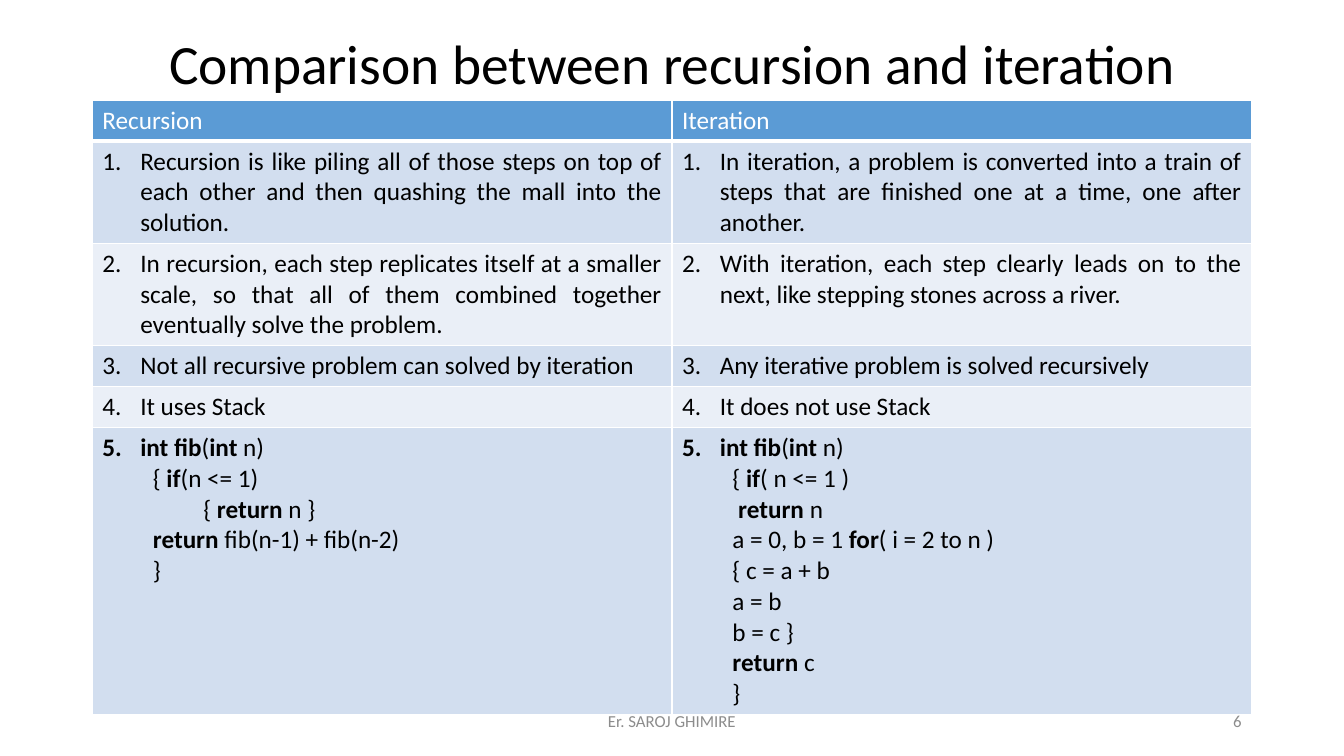
from dataclasses import dataclass
from typing import Any

from lxml.etree import SubElement
from pptx import Presentation
from pptx.dml.color import RGBColor
from pptx.enum.text import MSO_ANCHOR as Anchor, MSO_AUTO_SIZE as AutoSize, PP_ALIGN as Align
from pptx.oxml import parse_xml
from pptx.oxml.ns import nsdecls, qn
from pptx.util import Pt

COLORS = {"ink": "000000", "white": "FFFFFF", "header": "5B9BD5",
          "odd": "D2DEEF", "even": "EAEFF7", "footer": "8C8C8C"}
FRAME = {"word_wrap": True, "auto_size": AutoSize.NONE}
TITLE_FRAME = {**FRAME, "vertical_anchor": Anchor.TOP, "margin_top": 0, "margin_bottom": 0}
FOOTER_FRAME = {**FRAME, "vertical_anchor": Anchor.MIDDLE}
TITLE_FONT = {"name": "Calibri", "size": Pt(39.6), "bold": False}
CELL_FONT = {"name": "Calibri", "size": Pt(18)}
FOOTER_FONT = {"name": "Calibri", "size": Pt(12)}
LEFT, WIDTH = 66, 828
NUMBER_INDENT, CODE_INDENT = 27, 36
ROW_HEIGHTS = [29, 73.2, 73.2, 29.2, 29.2, 204.8]


@dataclass
class Line:
    text: str
    level: int = 0


@dataclass
class Footer:
    text: str
    left: float
    width: float
    align: Any


HEADINGS = ["Recursion", "Iteration"]
POINTS = [
    [[Line("Recursion is like piling all of those steps on top of each other "
           "and then quashing the mall into the solution.")],
     [Line("In iteration, a problem is converted into a train of steps "
           "that are finished one at a time, one after another.")]],
    [[Line("In recursion, each step replicates itself at a smaller scale, so that "
           "all of them combined together eventually solve the problem.")],
     [Line("With iteration, each step clearly leads on to the next, "
           "like stepping stones across a river.")]],
    [[Line("Not all recursive problem can solved by iteration")],
     [Line("Any iterative problem is solved recursively")]],
    [[Line("It uses Stack")], [Line("It does not use Stack")]],
    [[Line("*int fib*(*int* n)"), Line("{ *if*(n <= 1)", 1), Line("{ *return* n }", 2),
      Line("*return* fib(n-1) + fib(n-2)", 1), Line("}", 1)],
     [Line("*int fib*(*int* n)"), Line("{ *if*( n <= 1 )", 1), Line(" *return* n", 1),
      Line("a = 0, b = 1 *for*( i = 2 to n )", 1), Line("{ c = a + b", 1),
      Line("a = b", 1), Line("b = c }", 1), Line("*return* c", 1), Line("}", 1)]],
]
FOOTERS = [Footer("Er. SAROJ GHIMIRE", 318, 324, Align.CENTER),
           Footer("6", 678, 216, Align.RIGHT)]


def apply(target: Any, values: dict[str, Any]) -> None:
    for key, value in values.items():
        setattr(target, key, value)


def write(paragraph: Any, text: str, font: dict[str, Any], color: str, align: Any) -> None:
    paragraph.alignment = align
    for position, part in enumerate(text.split("*")):
        if part:
            run = paragraph.add_run()
            run.text = part
            apply(run.font, {"bold": position % 2 == 1, **font})
            run.font.color.rgb = RGBColor.from_string(COLORS[color])


def indent(paragraph: Any, level: int, number: int) -> None:
    properties = paragraph._p.get_or_add_pPr()
    left, first = (CODE_INDENT * level, 0) if level else (NUMBER_INDENT, -NUMBER_INDENT)
    properties.set("marL", str(Pt(left)))
    properties.set("indent", str(Pt(first)))
    if not level:
        SubElement(properties, qn("a:buFont"), typeface="+mj-lt")
        SubElement(properties, qn("a:buAutoNum"), type="arabicPeriod", startAt=str(number))


def paint(cell: Any, row: int) -> None:
    fill = "header" if row == 0 else "odd" if row % 2 else "even"
    cell.fill.solid()
    cell.fill.fore_color.rgb = RGBColor.from_string(COLORS[fill])
    widths = {"lnL": 1, "lnR": 1, "lnT": 3 if row == 1 else 1, "lnB": 3 if row == 0 else 1}
    for place, (side, width) in enumerate(widths.items()):
        border = parse_xml(
            f'<a:{side} {nsdecls("a")} w="{Pt(width)}"><a:solidFill>'
            f'<a:srgbClr val="{COLORS["white"]}"/></a:solidFill></a:{side}>')
        cell._tc.get_or_add_tcPr().insert(place, border)


def fill_cell(cell: Any, lines: list[Line], row: int) -> None:
    paint(cell, row)
    for position, line in enumerate(lines):
        frame = cell.text_frame
        paragraph = frame.add_paragraph() if position else frame.paragraphs[0]
        if row:
            indent(paragraph, line.level, row)
        write(paragraph, line.text, CELL_FONT, "ink" if row else "white", Align.JUSTIFY)


def add_footer(slide: Any, footer: Footer) -> None:
    box = slide.shapes.add_textbox(Pt(footer.left), Pt(500.5), Pt(footer.width), Pt(28.75))
    apply(box.text_frame, FOOTER_FRAME)
    write(box.text_frame.paragraphs[0], footer.text, FOOTER_FONT, "footer", footer.align)


deck = Presentation()
apply(deck, {"slide_width": Pt(960), "slide_height": Pt(540)})
slide = deck.slides.add_slide(deck.slide_layouts[5])

title = slide.shapes.title
apply(title, {"left": Pt(LEFT), "top": Pt(26), "width": Pt(WIDTH), "height": Pt(82)})
apply(title.text_frame, TITLE_FRAME)
heading = title.text_frame.paragraphs[0]
heading.line_spacing = 0.9
write(heading, "Comparison between recursion and iteration", TITLE_FONT, "ink", Align.CENTER)

rows = [[[Line(text)] for text in HEADINGS], *POINTS]
comparison = slide.shapes.add_table(len(rows), len(HEADINGS), Pt(LEFT), Pt(71.5),
                                    Pt(WIDTH), Pt(sum(ROW_HEIGHTS))).table
for row, (cells, height) in enumerate(zip(rows, ROW_HEIGHTS)):
    comparison.rows[row].height = Pt(height)
    for column, lines in enumerate(cells):
        fill_cell(comparison.cell(row, column), lines, row)

for footer in FOOTERS:
    add_footer(slide, footer)

deck.save("out.pptx")
